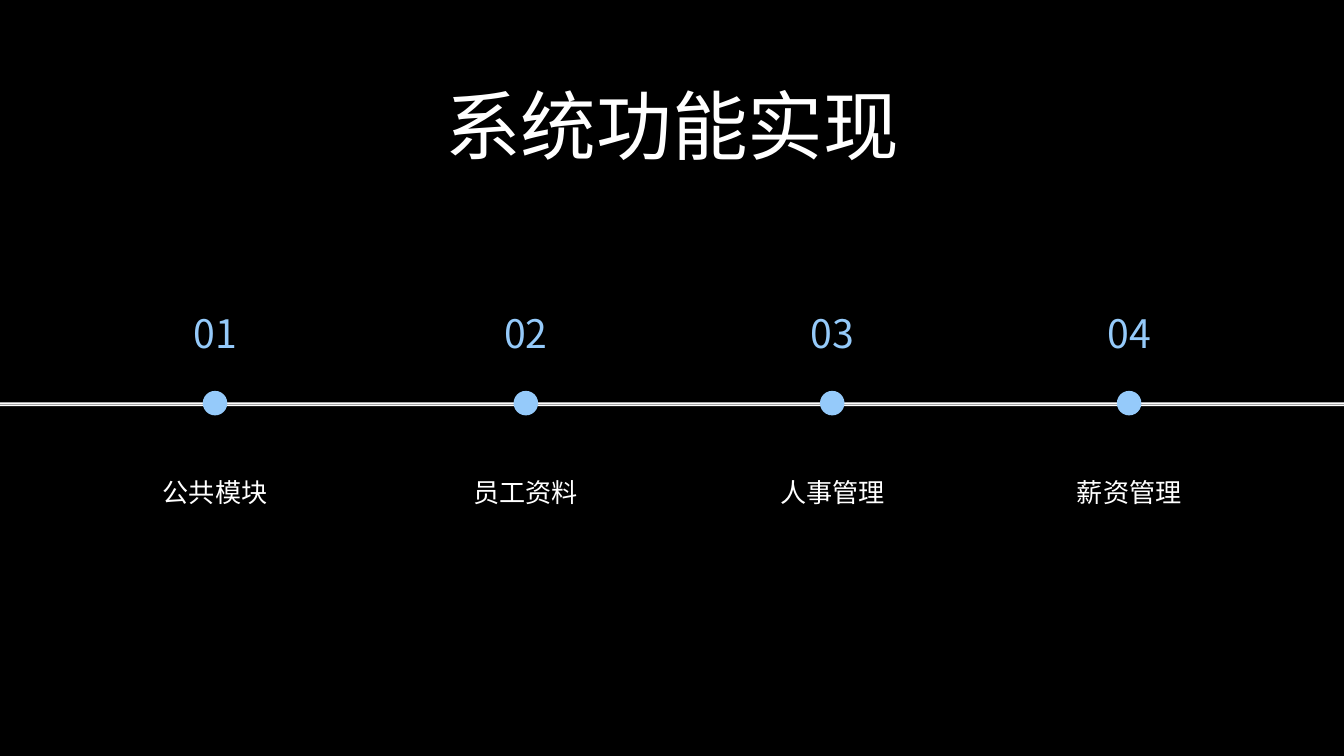
from pptx import Presentation
from pptx.dml.color import RGBColor
from pptx.enum.shapes import MSO_SHAPE
from pptx.enum.text import MSO_AUTO_SIZE, PP_ALIGN
from pptx.util import Pt

WHITE, BLUE = "FFFFFF", "95CAFA"
SANS, CJK = "Calibri", "Noto Sans CJK SC"
WIDTH, HEIGHT = 1440, 810
# Stop centre and label on the timeline
STOPS = [(230.4, "公共模块"), (563.4, "员工资料"),
         (891.7, "人事管理"), (1209.8, "薪资管理")]


def paint(fill, color):
    fill.solid()
    fill.fore_color.rgb = RGBColor.from_string(color)


def add_shape(slide, kind, box, color):
    shape = slide.shapes.add_shape(kind, *map(Pt, box))
    shape.shadow.inherit = False
    shape.line.fill.background()
    paint(shape.fill, color)


def add_text(slide, box, text, size, font, color):
    frame = slide.shapes.add_textbox(*map(Pt, box)).text_frame
    look = {"margin_left": 0, "margin_top": 0, "margin_right": 0,
            "margin_bottom": 0, "word_wrap": True,
            "auto_size": MSO_AUTO_SIZE.SHAPE_TO_FIT_TEXT}
    for name, value in look.items():
        setattr(frame, name, value)
    para = frame.paragraphs[0]
    para.alignment = PP_ALIGN.CENTER
    para.line_spacing = Pt(size * 1.4)
    run = para.add_run()
    run.text = text
    for name, value in {"size": Pt(size), "name": font}.items():
        setattr(run.font, name, value)
    paint(run.font.fill, color)


def add_rail(slide, left, top, width):
    # Two thin bars, the lower one shifted slightly left
    for shift, drop in [(0, 0), (-2.2, 2.2)]:
        box = (left + shift, top + drop, width, 1.8)
        add_shape(slide, MSO_SHAPE.RECTANGLE, box, WHITE)


def add_stop(slide, mid, top, width, number, label):
    # Number above, dot on the rail, label below
    left, dot = mid - width / 2, 26.3
    add_text(slide, (left, top, width, 52), number, 42, CJK, BLUE)
    add_shape(slide, MSO_SHAPE.OVAL, (mid - dot / 2, top + 96.2, dot, dot), BLUE)
    add_text(slide, (left, top + 182, width, 37), label, 28, SANS, WHITE)


def main():
    deck = Presentation()
    deck.slide_width, deck.slide_height = Pt(WIDTH), Pt(HEIGHT)
    slide = deck.slides.add_slide(deck.slide_layouts[6])
    paint(slide.background.fill, "000000")

    # Title
    add_text(slide, (370, 68.4, WIDTH - 2 * 370, 107.3), "系统功能实现", 81, SANS, WHITE)

    # Timeline
    add_rail(slide, -15.1, 431.1, 1460)
    for count, (mid, label) in enumerate(STOPS, 1):
        add_stop(slide, mid, 322.6, 298.8, f"{count:02}", label)

    deck.save("out.pptx")


if __name__ == "__main__":
    main()
